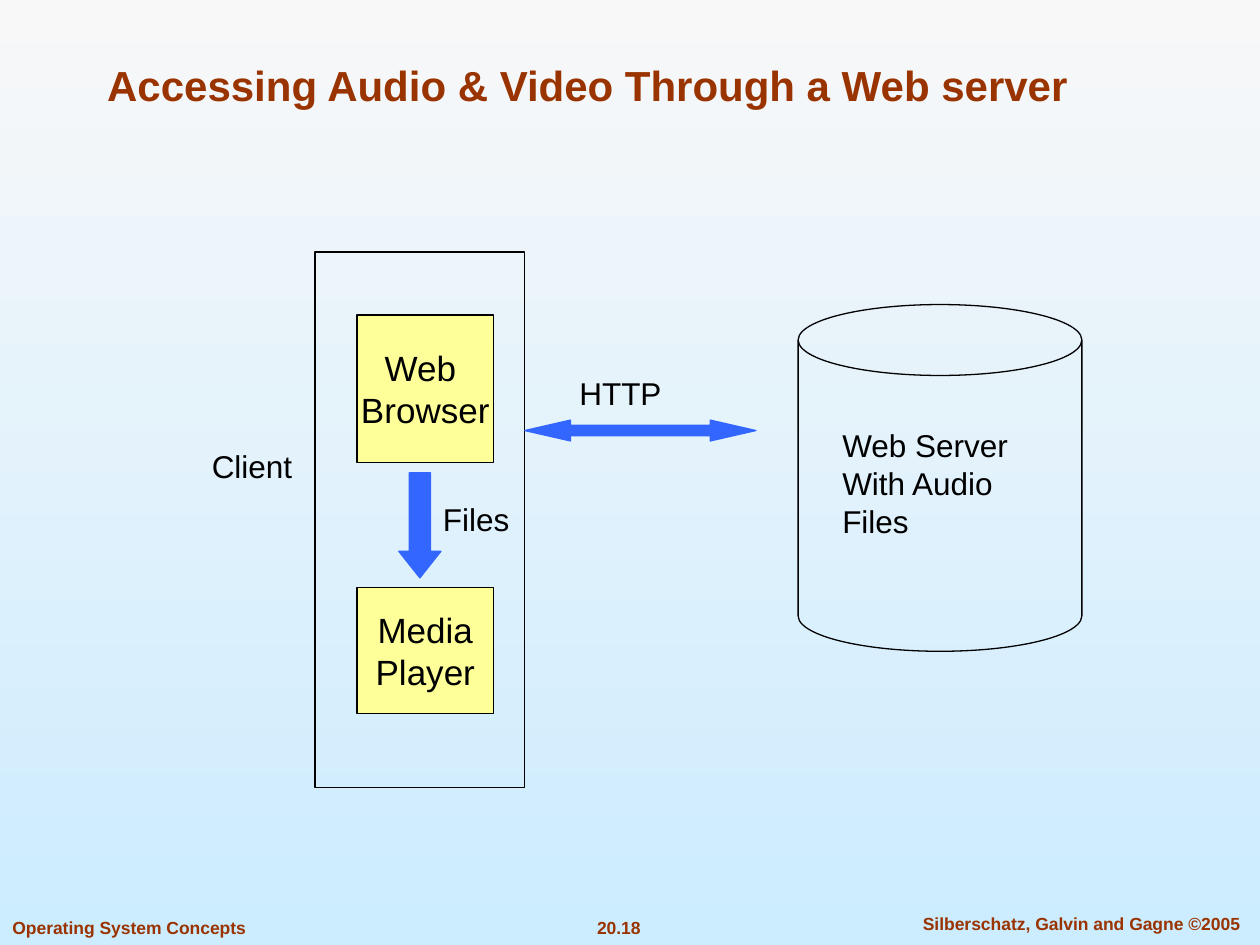
from pptx import Presentation
from pptx import util as u
from pptx.dml import color
from pptx.enum import shapes, text

RUST, BLACK, BLUE, YELLOW = "993300", "000000", "3366FF", "FFFF99"
LEFT, CENTER = text.PP_ALIGN.LEFT, text.PP_ALIGN.CENTER


def rgb(code):
    """Turn a hex string into a colour."""
    return color.RGBColor.from_string(code)


def place(box, x, y, width, height):
    """Return the lengths of a part given relative to a box in centimetres."""
    return [u.Cm(value) for value in (box[0] + x, box[1] + y, width, height)]


def write(part, lines, size=18, ink=BLACK, bold=False, align=LEFT,
          anchor=text.MSO_ANCHOR.TOP, wrap=True):
    """Fill a part with one paragraph for each line."""
    frame = part.text_frame
    frame.word_wrap = wrap
    frame.vertical_anchor = anchor
    frame.text = "\n".join(lines)
    for paragraph in frame.paragraphs:
        paragraph.alignment = align
        paragraph.font.color.rgb = rgb(ink)
        for name, value in {"name": "Arial", "size": u.Pt(size), "bold": bold}.items():
            setattr(paragraph.font, name, value)


def add_label(slide, spot, lines, **style):
    """Add a text box at a spot."""
    label = slide.shapes.add_textbox(*spot)
    write(label, lines, **style)


def add_figure(slide, kind, spot, fill=None, line=BLACK, adjust=()):
    """Add a preset shape with a thin outline and an optional fill."""
    figure = slide.shapes.add_shape(kind, *spot)
    figure.shadow.inherit = False
    figure.line.color.rgb = rgb(line)
    figure.line.width = u.Pt(0.75)
    if fill:
        figure.fill.solid()
        figure.fill.fore_color.rgb = rgb(fill)
    else:
        figure.fill.background()
    for index, value in enumerate(adjust):
        figure.adjustments[index] = value
    return figure


def paint_background(slide):
    """Shade the slide from pale grey at the top to light blue."""
    fill = slide.background.fill
    fill.gradient()
    fill.gradient_angle = 270
    for stop, code in zip(fill.gradient_stops, ("F8F8F8", "CCECFF")):
        stop.color.rgb = rgb(code)


def add_title(slide, box):
    """Write the slide title at the bottom of its box."""
    add_label(slide, place(box, 0, 0, *box[2:]),
              ["Accessing Audio & Video Through a Web server"],
              size=24, ink=RUST, bold=True, anchor=text.MSO_ANCHOR.BOTTOM)


def add_footer(slide, box):
    """Write the book title, page number and copyright line."""
    entries = (
        (0, 0.07, 5.21, "Operating System Concepts", LEFT),
        (11.13, 0.07, 2.69, "20.18", CENTER),
        (18.03, 0, 7.54, "Silberschatz, Galvin and Gagne ©2005", CENTER),
    )
    for x, y, width, words, align in entries:
        add_label(slide, place(box, x, y, width, 0.69), [words],
                  size=10, ink=RUST, bold=True, align=align, wrap=False)


def add_client(slide, box):
    """Draw the client with its browser, player and file flow."""
    preset = shapes.MSO_SHAPE
    add_figure(slide, preset.RECTANGLE, place(box, 0, 0, *box[2:]))
    programs = ((1.27, 2.97, ["Web ", "Browser"]), (6.77, 2.54, ["Media", "Player"]))
    for y, height, lines in programs:
        program = add_figure(slide, preset.RECTANGLE,
                             place(box, 0.85, y, 2.75, height), YELLOW)
        write(program, lines, size=20, align=CENTER,
              anchor=text.MSO_ANCHOR.MIDDLE, wrap=False)
    add_figure(slide, preset.DOWN_ARROW, place(box, 1.69, 4.45, 0.85, 2.12),
               BLUE, BLUE, (0.5, 0.63))
    add_label(slide, place(box, -2.33, 3.81, 2.75, 1.02), ["Client"])
    add_label(slide, place(box, 2.33, 4.87, 3.6, 1.02), ["Files"])


def add_link(slide, box):
    """Draw the two-way HTTP arrow with its label above."""
    add_figure(slide, shapes.MSO_SHAPE.LEFT_RIGHT_ARROW,
               place(box, 0, 1.06, box[2], 0.42), BLUE, BLUE, (0.5, 2.19))
    add_label(slide, place(box, 0.85, 0, 3.18, 1.02), ["HTTP"])


def add_server(slide, box):
    """Draw the web server as a labelled cylinder."""
    add_figure(slide, shapes.MSO_SHAPE.CAN, place(box, 0, 0, *box[2:]), adjust=(0.25,))
    add_label(slide, place(box, 0.64, 2.33, 4.7, 2.54),
              ["Web Server", "With Audio", "Files"])


def main():
    """Build the slide and save it."""
    deck = Presentation()
    deck.slide_width, deck.slide_height = u.Cm(25.4), u.Cm(19.05)
    slide = deck.slides.add_slide(deck.slide_layouts[6])
    paint_background(slide)
    add_footer(slide, (0, 18.29, 25.4, 0.76))
    add_title(slide, (1.91, 0.64, 22.6, 1.7))
    add_client(slide, (6.35, 5.08, 4.23, 10.8))
    add_link(slide, (10.58, 7.41, 4.66, 1.48))
    add_server(slide, (16.09, 6.14, 5.72, 6.99))
    deck.save("out.pptx")


if __name__ == "__main__":
    main()
